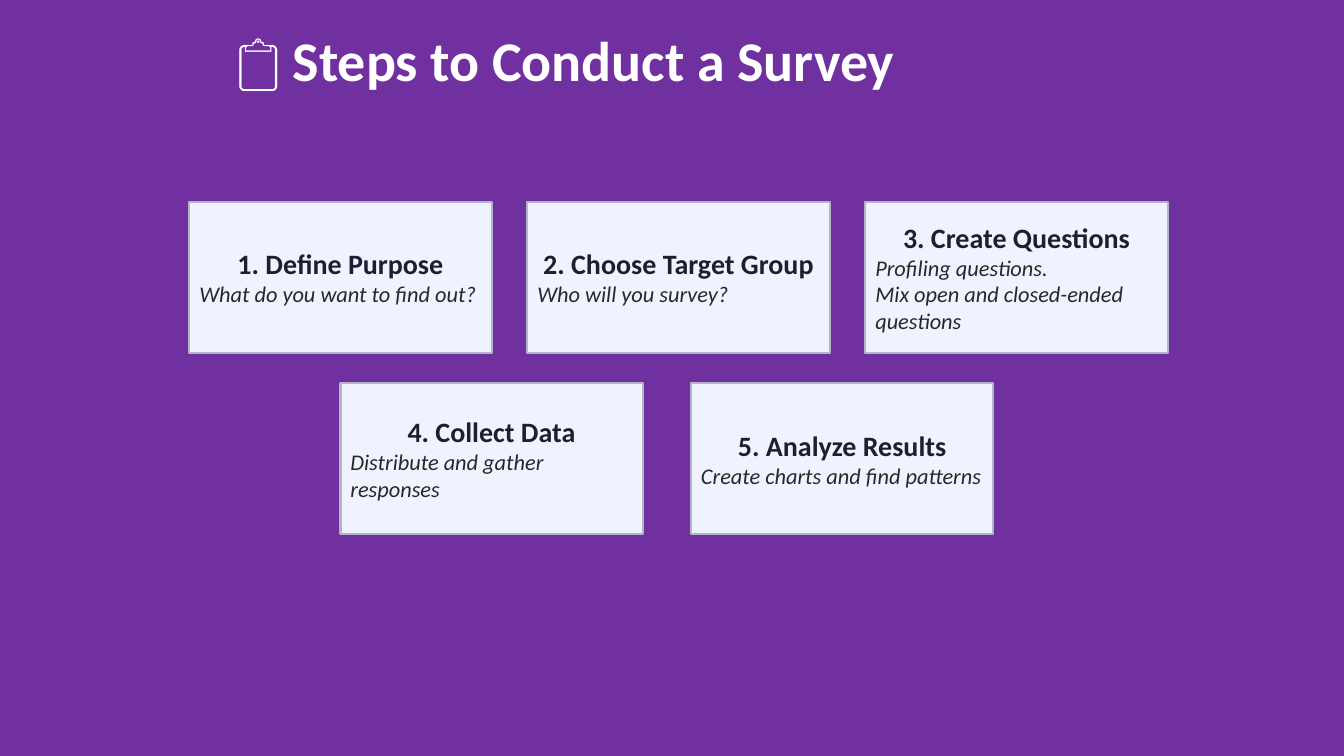
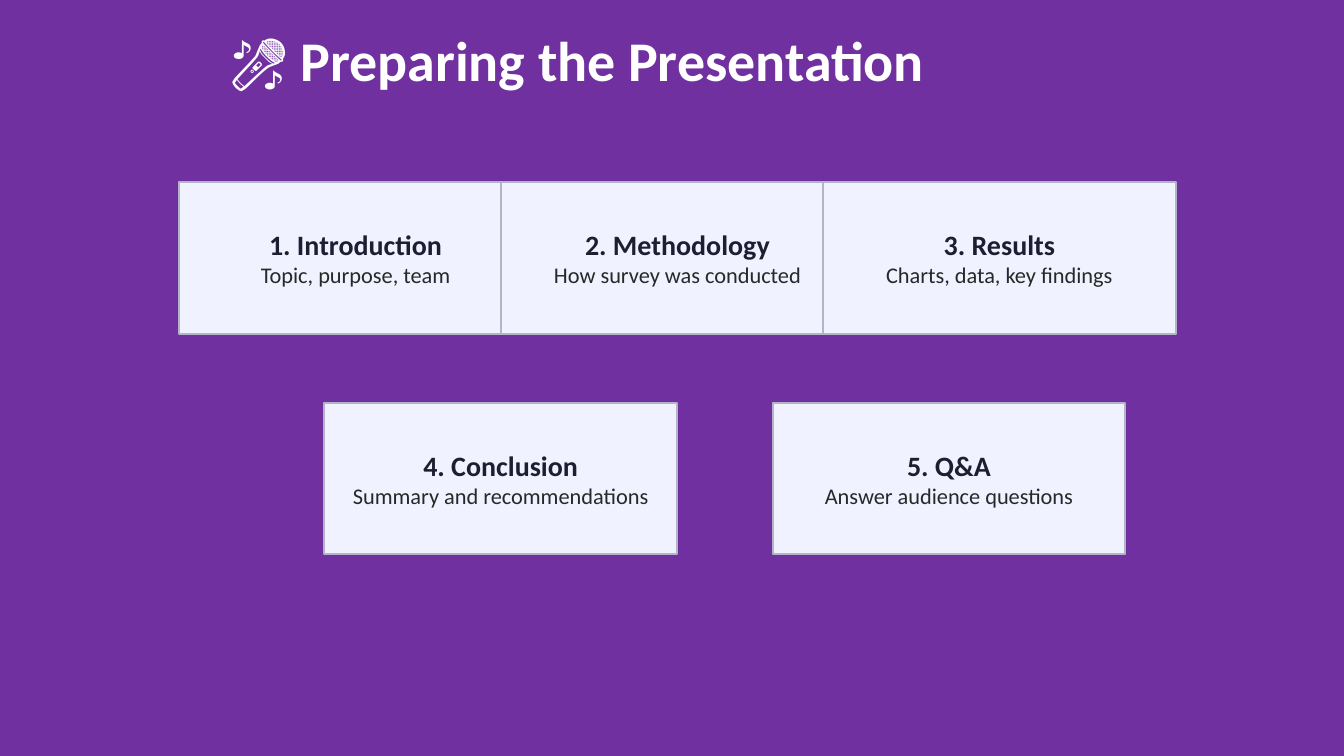
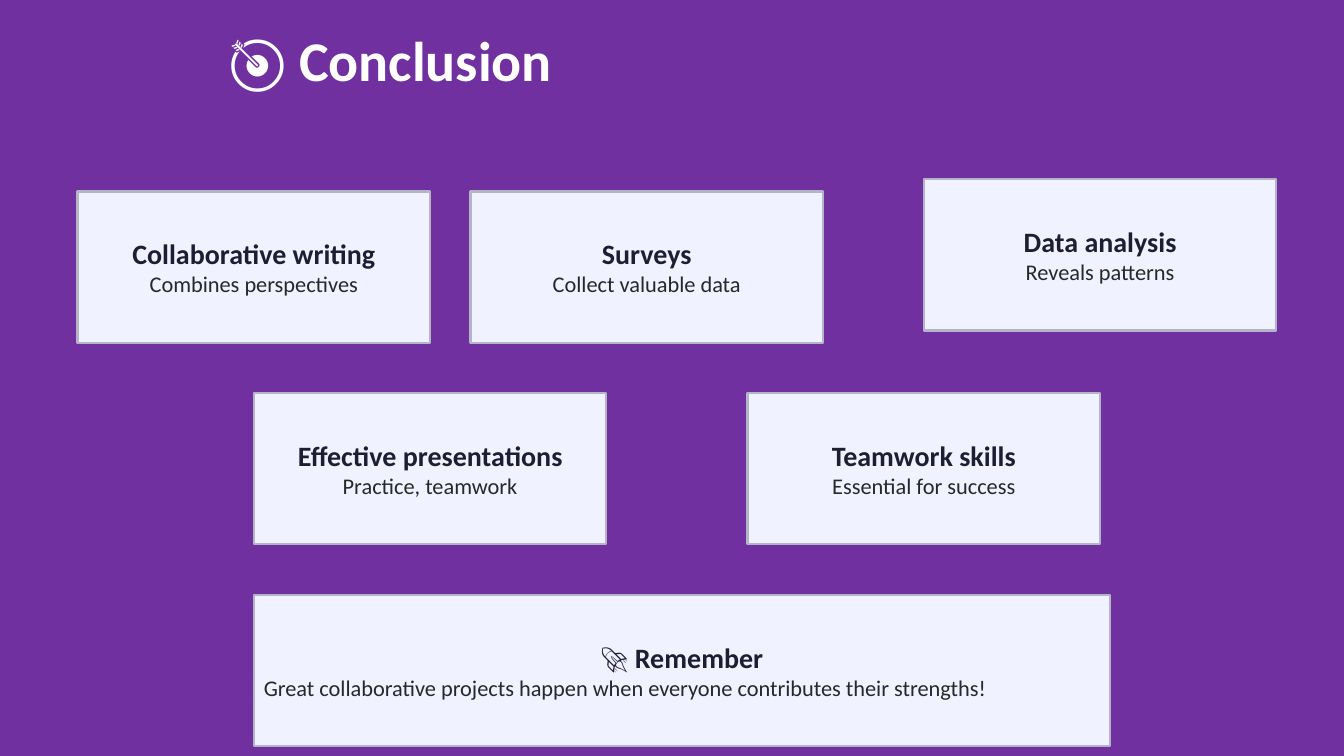
from pptx import Presentation
from pptx.dml.color import RGBColor
from pptx.enum import shapes, text
from pptx.util import Inches, Pt

PURPLE, WHITE = "7030A0", "FFFFFF"
CARD_FILL, CARD_LINE = "F0F2FF", "B4B4C8"
HEADING, BODY = "1E1E32", "282828"
LEFT, CENTER = text.PP_ALIGN.LEFT, text.PP_ALIGN.CENTER

TITLE_FONT = {"size": Pt(40), "bold": True, "color": WHITE}
HEADING_FONT = {"size": Pt(20), "bold": True, "color": HEADING}
BODY_FONT = {"size": Pt(16), "bold": False, "color": BODY}
CARD_HEIGHT = 1.5

# Each row: left of first card, left of last card, top, cards (heading, lines...).
# A row may override the slide's card width and body alignment.
SLIDES = [
    {
        "title": "📋 Steps to Conduct a Survey", "title_left": 2.26, "title_width": 6.74,
        "width": 3, "align": LEFT, "italic": True,
        "rows": [
            {"first": 1.88, "last": 8.59, "top": 2, "cards": [
                ("1. Define Purpose", "What do you want to find out?"),
                ("2. Choose Target Group", "Who will you survey?"),
                ("3. Create Questions", "Profiling questions.",
                 "Mix open and closed-ended questions")]},
            {"first": 3.38, "last": 6.86, "top": 3.8, "cards": [
                ("4. Collect Data", "Distribute and gather responses"),
                ("5. Analyze Results", "Create charts and find patterns")]},
        ],
    },
    {
        "title": "🎤 Preparing the Presentation", "title_left": 2.19, "title_width": 7.11,
        "width": 3.5, "align": CENTER, "italic": False,
        "rows": [
            {"first": 1.78, "last": 8.17, "top": 1.81, "cards": [
                ("1. Introduction", "Topic, purpose, team"),
                ("2. Methodology", "How survey was conducted"),
                ("3. Results", "Charts, data, key findings")]},
            {"first": 3.22, "last": 7.67, "top": 4, "cards": [
                ("4. Conclusion", "Summary and recommendations"),
                ("5. Q&A", "Answer audience questions")]},
        ],
    },
    {
        "title": "🎯 Conclusion", "title_left": 2.18, "title_width": 3.4,
        "width": 3.5, "align": CENTER, "italic": False,
        "rows": [
            {"first": 0.77, "last": 4.67, "top": 1.9, "cards": [
                ("Collaborative writing", "Combines perspectives"),
                ("Surveys", "Collect valuable data")]},
            {"first": 9.17, "last": 9.17, "top": 1.78, "cards": [
                ("Data analysis", "Reveals patterns")]},
            {"first": 2.52, "last": 7.42, "top": 3.9, "cards": [
                ("Effective presentations", "Practice, teamwork"),
                ("Teamwork skills", "Essential for success")]},
            {"first": 2.52, "last": 2.52, "top": 5.9, "width": 8.5, "align": LEFT, "cards": [
                ("🚀 Remember", "Great collaborative projects happen when everyone "
                 "contributes their strengths!")]},
        ],
    },
]


def rgb(value):
    return RGBColor.from_string(value)


def format_paragraph(paragraph, wording, align, font_values):
    paragraph.alignment = align
    run = paragraph.add_run()
    run.text = wording
    run.font.name = "Calibri"
    for name, value in font_values.items():
        if name == "color":
            run.font.color.rgb = rgb(value)
        else:
            setattr(run.font, name, value)


def set_title(slide, wording, left, width):
    title = slide.shapes.title
    title.left, title.top = Inches(left), Inches(0.2)
    title.width, title.height = Inches(width), Inches(0.77)
    frame = title.text_frame
    frame.word_wrap = False
    frame.auto_size = text.MSO_AUTO_SIZE.SHAPE_TO_FIT_TEXT
    frame.vertical_anchor = text.MSO_ANCHOR.TOP
    format_paragraph(frame.paragraphs[0], wording, LEFT, TITLE_FONT)


def add_card(slide, left, top, width, card, align, italic):
    shape = slide.shapes.add_shape(shapes.MSO_SHAPE.RECTANGLE, Inches(left), Inches(top),
                                   Inches(width), Inches(CARD_HEIGHT))
    shape.shadow.inherit = False
    shape.fill.solid()
    shape.fill.fore_color.rgb = rgb(CARD_FILL)
    shape.line.color.rgb = rgb(CARD_LINE)
    shape.line.width = Pt(1.5)
    frame = shape.text_frame
    frame.word_wrap = True
    frame.vertical_anchor = text.MSO_ANCHOR.MIDDLE
    heading, *lines = card
    format_paragraph(frame.paragraphs[0], heading, CENTER, HEADING_FONT)
    for line in lines:
        format_paragraph(frame.add_paragraph(), line, align, {**BODY_FONT, "italic": italic})


def add_row(slide, row, content):
    cards = row["cards"]
    step = (row["last"] - row["first"]) / max(len(cards) - 1, 1)
    for index, card in enumerate(cards):
        add_card(slide, row["first"] + index * step, row["top"],
                 row.get("width", content["width"]), card,
                 row.get("align", content["align"]), content["italic"])


def main():
    presentation = Presentation()
    presentation.slide_width, presentation.slide_height = Inches(13.34), Inches(7.5)
    background = presentation.slide_master.background.fill
    background.solid()
    background.fore_color.rgb = rgb(PURPLE)
    title_only = presentation.slide_layouts.get_by_name("Title Only")
    for content in SLIDES:
        slide = presentation.slides.add_slide(title_only)
        set_title(slide, content["title"], content["title_left"], content["title_width"])
        for row in content["rows"]:
            add_row(slide, row, content)
    presentation.save("out.pptx")


if __name__ == "__main__":
    main()
